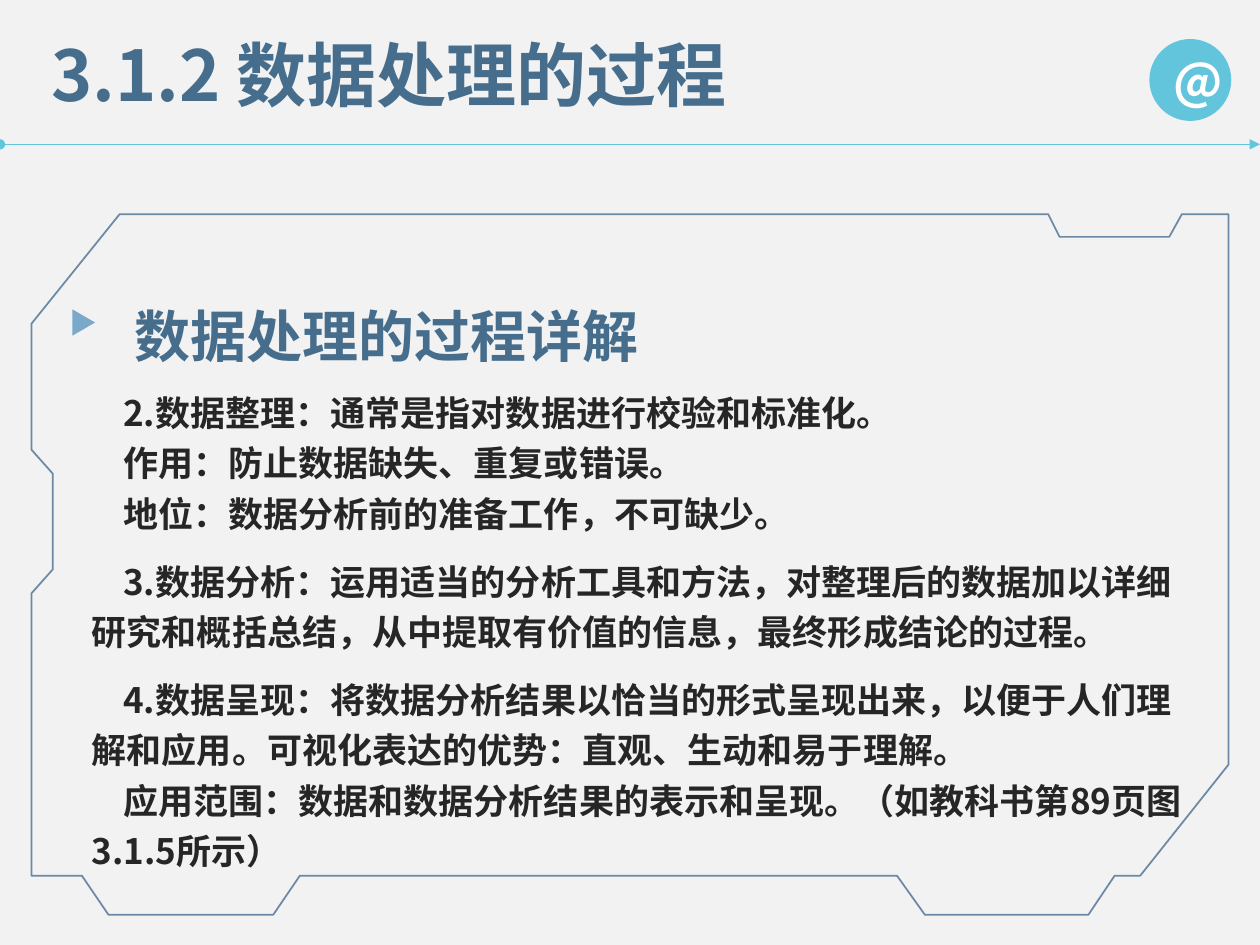
from lxml import etree
from pptx import Presentation
from pptx.dml.color import RGBColor
from pptx.enum.shapes import MSO_CONNECTOR, MSO_SHAPE
from pptx.enum.text import MSO_ANCHOR, MSO_AUTO_SIZE, PP_ALIGN
from pptx.oxml.ns import qn
from pptx.util import Pt

STRAIGHT = MSO_CONNECTOR.STRAIGHT
ELLIPSE, TRIANGLE = MSO_SHAPE.OVAL, MSO_SHAPE.ISOSCELES_TRIANGLE
LEFT, CENTER = PP_ALIGN.LEFT, PP_ALIGN.CENTER
MIDDLE = MSO_ANCHOR.MIDDLE
GROW = MSO_AUTO_SIZE.SHAPE_TO_FIT_TEXT

PAPER = RGBColor(0xF2, 0xF2, 0xF2)
HEADING = RGBColor(0x46, 0x6E, 0x8C)
ACCENT = RGBColor(0x62, 0xC5, 0xDC)
MARKER = RGBColor(0x7B, 0xA9, 0xCA)
FRAME = RGBColor(0x1F, 0x4E, 0x79)
INK = RGBColor(0x26, 0x26, 0x26)
WHITE = RGBColor(0xFF, 0xFF, 0xFF)
FONT = "Noto Sans CJK SC"

FRAME_OUTLINE = [
    (528.5, 522.7), (622, 522.7), (637, 500.4), (651.6, 500.4),
    (702, 437), (702, 122.4), (675.4, 122.4), (668.2, 135.4),
    (605.5, 135.4), (599, 122.4), (68.4, 122.4), (18, 185),
    (18, 257), (30.2, 270.7), (30.2, 325.4), (18, 339.1),
    (18, 500.4), (46.8, 500.4), (62, 522.7), (156.2, 522.7),
    (171.4, 500.4), (512.6, 500.4),
]

STEPS = [
    ["2.数据整理：通常是指对数据进行校验和标准化。",
     "作用：防止数据缺失、重复或错误。",
     "地位：数据分析前的准备工作，不可缺少。"],
    ["3.数据分析：运用适当的分析工具和方法，对整理后的数据加以详细研究和概括总结，"
     "从中提取有价值的信息，最终形成结论的过程。"],
    ["4.数据呈现：将数据分析结果以恰当的形式呈现出来，以便于人们理解和应用。"
     "可视化表达的优势：直观、生动和易于理解。",
     "应用范围：数据和数据分析结果的表示和呈现。（如教科书第89页图3.1.5所示）"],
]


def write(paragraph, text, size=20, color=INK, align=LEFT, spacing=1.0, after=0, indent=0):
    paragraph.alignment = align
    paragraph.line_spacing = spacing
    paragraph.space_after = Pt(after)
    if indent:
        paragraph._p.get_or_add_pPr().set("indent", str(Pt(indent)))
    run = paragraph.add_run()
    run.text = text
    run.font.size = Pt(size)
    run.font.bold = True
    run.font.name = FONT
    run.font.color.rgb = color
    etree.SubElement(run._r.get_or_add_rPr(), qn("a:ea"), typeface=FONT)


class Board:
    def __init__(self, slide):
        self.slide = slide
        self.shapes = slide.shapes
        slide.background.fill.solid()
        slide.background.fill.fore_color.rgb = PAPER

    def text(self, left, top, width, height, lines):
        frame = self.shapes.add_textbox(Pt(left), Pt(top), Pt(width), Pt(height)).text_frame
        frame.word_wrap = True
        frame.auto_size = GROW
        for index, (words, style) in enumerate(lines):
            paragraph = frame.add_paragraph() if index else frame.paragraphs[0]
            write(paragraph, words, **style)

    def shape(self, kind, left, top, width, height, fill, rotation=0):
        shape = self.shapes.add_shape(kind, Pt(left), Pt(top), Pt(width), Pt(height))
        shape.shadow.inherit = False
        shape.fill.solid()
        shape.fill.fore_color.rgb = fill
        shape.line.fill.background()
        shape.rotation = rotation
        return shape

    def arrow(self, x1, y1, x2, y2, color, weight):
        arrow = self.shapes.add_connector(STRAIGHT, Pt(x1), Pt(y1), Pt(x2), Pt(y2))
        arrow.line.color.rgb = color
        arrow.line.width = Pt(weight)
        line = arrow.line._get_or_add_ln()
        etree.SubElement(line, qn("a:headEnd"), type="oval")
        etree.SubElement(line, qn("a:tailEnd"), type="triangle")
        etree.SubElement(arrow._element.spPr, qn("a:effectLst"))

    def outline(self, points, color, weight, opacity):
        corners = [(Pt(x), Pt(y)) for x, y in points]
        builder = self.shapes.build_freeform(*corners[0])
        builder.add_line_segments(corners[1:], close=True)
        outline = builder.convert_to_shape()
        outline.shadow.inherit = False
        outline.fill.background()
        outline.line.color.rgb = color
        outline.line.width = Pt(weight)
        tint = outline.line._get_or_add_ln().find(".//" + qn("a:srgbClr"))
        etree.SubElement(tint, qn("a:alpha"), val=str(opacity * 1000))


def main():
    deck = Presentation()
    deck.slide_width, deck.slide_height = Pt(720), Pt(540)
    board = Board(deck.slides.add_slide(deck.slide_layouts[6]))

    board.text(22.3, 14.4, 496.8, 55.4,
               [("3.1.2 数据处理的过程", dict(size=40, color=HEADING))])
    board.arrow(0, 82.5, 720, 82.5, ACCENT, 0.5)
    badge = board.shape(ELLIPSE, 656.8, 22.3, 46.8, 46.8, ACCENT)
    badge.text_frame.vertical_anchor = MIDDLE
    write(badge.text_frame.paragraphs[0], "@", size=28, color=WHITE, align=CENTER)

    board.text(69.8, 149.8, 447.8, 58.3,
               [("数据处理的过程详解", dict(size=32, color=HEADING, spacing=1.5))])
    body = [
        (line, dict(spacing=1.2, indent=18, after=10 if line == step[-1] else 0))
        for step in STEPS for line in step
    ]
    board.text(45.4, 215.3, 637.9, 289.4, body)
    board.shape(TRIANGLE, 40.3, 177.8, 15.1, 13, MARKER, rotation=90)
    board.outline(FRAME_OUTLINE, FRAME, 1, 64)

    deck.save("out.pptx")


if __name__ == "__main__":
    main()
